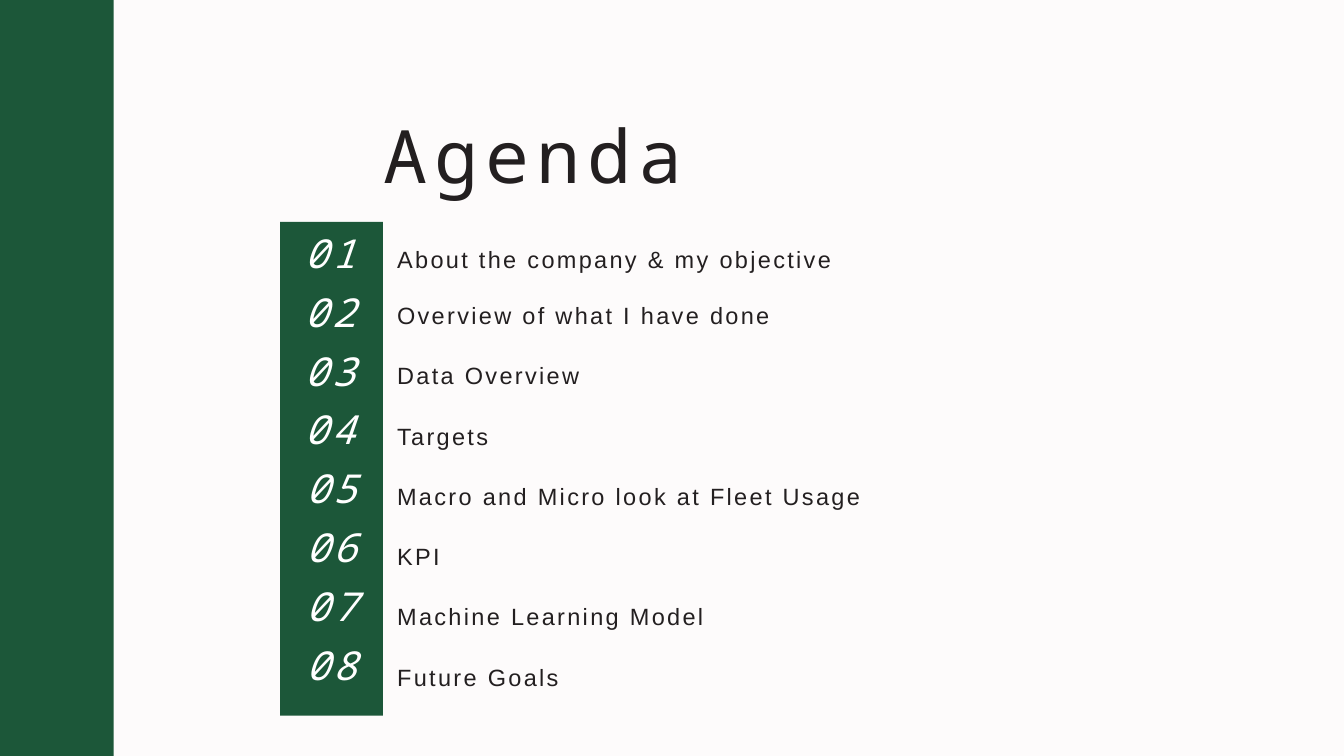
from pptx import Presentation
from pptx.dml.color import RGBColor
from pptx.enum.shapes import MSO_SHAPE
from pptx.enum.text import MSO_AUTO_SIZE, PP_ALIGN
from pptx.util import Inches, Pt

RECTANGLE = MSO_SHAPE.RECTANGLE
LEFT, CENTER = PP_ALIGN.LEFT, PP_ALIGN.CENTER
FIT_SHAPE = MSO_AUTO_SIZE.SHAPE_TO_FIT_TEXT

COLORS = {"paper": "FDFBFB", "green": "1C5739", "ink": "231F20", "white": "FFFFFF"}
MONO, SANS = "Noto Sans Mono", "Arial"

# Agenda topics with the width of their text boxes
TOPICS = [
    ("About the company & my objective", 7.29),
    ("Overview of what I have done", 6.33),
    ("Data Overview", 6.65),
    ("Targets", 6.33),
    ("Macro and Micro look at Fleet Usage", 7.73),
    ("KPI", 6.65),
    ("Machine Learning Model", 6.65),
    ("Future Goals", 6.33),
]
NUMBER_TOP, NUMBER_PITCH = 3.4, 0.875
FIRST_TOPIC_TOP = 3.58
SECOND_TOPIC_TOP, TOPIC_PITCH = 4.42, 0.896


class AgendaSlide:
    def __init__(self, presentation):
        self.slide = presentation.slides.add_slide(presentation.slide_layouts[6])
        background = self.slide.background.fill
        background.solid()
        background.fore_color.rgb = self.color("paper")

    def color(self, name):
        return RGBColor.from_string(COLORS[name])

    def panel(self, left, top, width, height):
        panel = self.slide.shapes.add_shape(
            RECTANGLE, Inches(left), Inches(top), Inches(width), Inches(height))
        panel.shadow.inherit = False
        panel.fill.solid()
        panel.fill.fore_color.rgb = self.color("green")
        panel.line.fill.background()

    def text(self, words, left, top, width, height, font, size, leading, tracking,
             color="ink", align=LEFT, italic=False):
        """Add one line of text; leading and tracking are in points."""
        box = self.slide.shapes.add_textbox(
            Inches(left), Inches(top), Inches(width), Inches(height))
        frame = box.text_frame
        frame.word_wrap = True
        frame.auto_size = FIT_SHAPE
        frame.margin_left = frame.margin_right = 0
        frame.margin_top = frame.margin_bottom = 0
        frame.text = words
        line = frame.paragraphs[0]
        line.alignment = align
        line.line_spacing = Pt(leading)
        run = line.runs[0]
        run.font.name = font
        run.font.size = Pt(size)
        run.font.italic = italic
        run.font.color.rgb = self.color(color)
        run._r.get_or_add_rPr().set("spc", str(round(tracking * 100)))

    def title(self, words):
        self.text(words, 5.7, 1.44, 6.19, 1.57, MONO, 78.7, 108.6, 7.7)

    def number(self, words, left, top):
        self.text(words, left, top, 1.02, 0.78, MONO, 42.7, 51.3, 3.5,
                  color="white", align=CENTER, italic=True)

    def topic(self, words, top, width):
        self.text(words, 5.91, top, width, 0.46, SANS, 25.2, 34.8, 2.5)


def main():
    presentation = Presentation()
    presentation.slide_width = Inches(20)
    presentation.slide_height = Inches(11.25)

    agenda = AgendaSlide(presentation)
    agenda.panel(4.17, 3.3, 1.53, 7.35)
    agenda.panel(0, 0, 1.69, 11.25)
    agenda.title("Agenda")
    for index, (topic, width) in enumerate(TOPICS):
        number_left = 4.4 if index < 4 else 4.42
        agenda.number(f"{index + 1:02d}", number_left, NUMBER_TOP + index * NUMBER_PITCH)
        topic_top = SECOND_TOPIC_TOP + (index - 1) * TOPIC_PITCH if index else FIRST_TOPIC_TOP
        agenda.topic(topic, topic_top, width)

    presentation.save("out.pptx")


if __name__ == "__main__":
    main()
